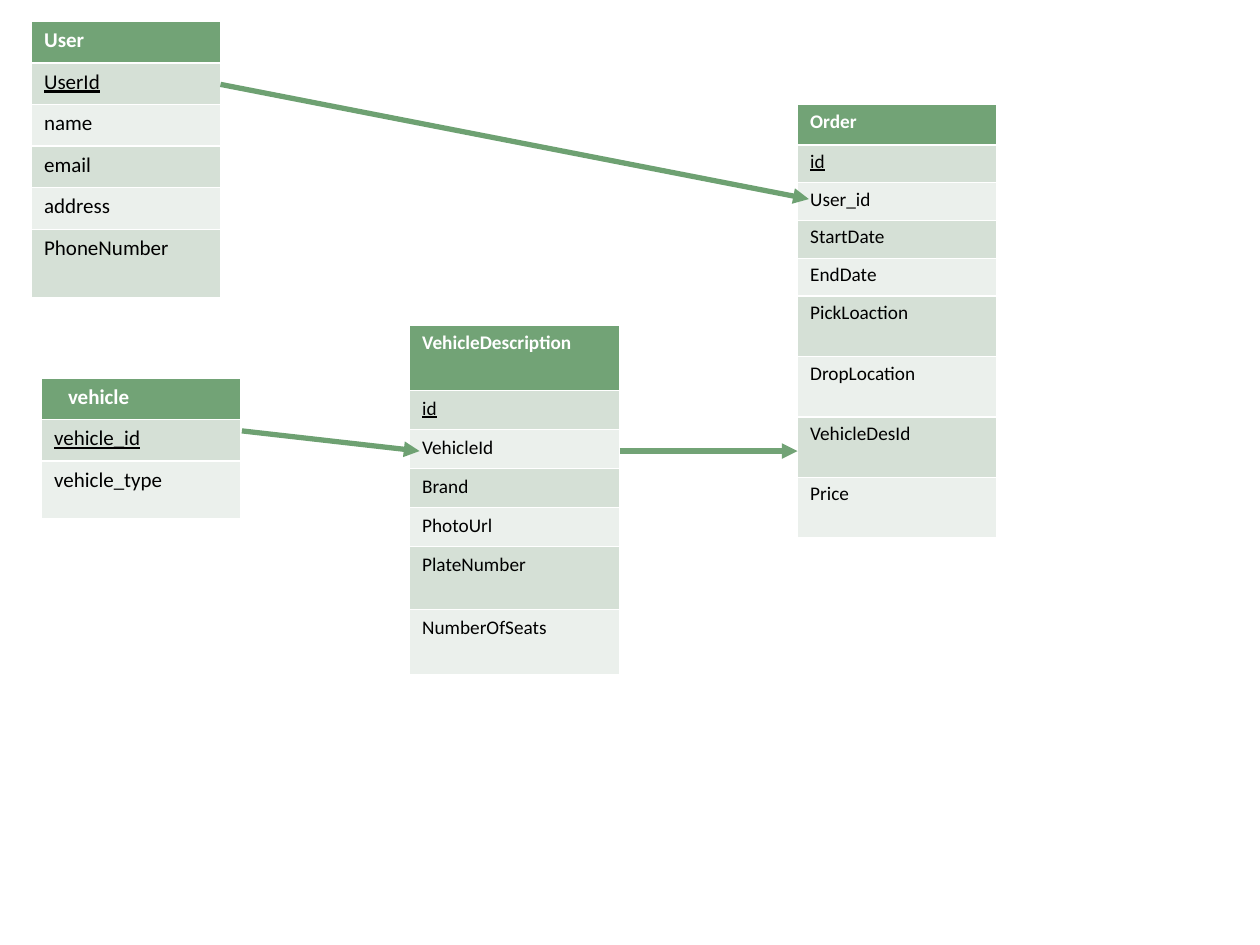
"""Build a slide of four linked database tables for a vehicle rental system."""
from lxml.etree import SubElement
from pptx import Presentation
from pptx.dml.color import RGBColor
from pptx.enum.shapes import MSO_CONNECTOR
from pptx.enum.text import PP_ALIGN
from pptx.oxml.ns import qn
from pptx.util import Inches, Pt

HEADER_GREEN = RGBColor(0x72, 0xA3, 0x76)
LINK_GREEN = RGBColor(0x6E, 0xA1, 0x72)
BAND_DARK = RGBColor(0xD5, 0xE0, 0xD6)
BAND_LIGHT = RGBColor(0xEB, 0xF0, 0xEC)
WHITE = RGBColor(0xFF, 0xFF, 0xFF)
BLACK = RGBColor(0x00, 0x00, 0x00)

ENTITIES = [
    {"at": (0.33, 3), "width": 1.58, "size": 12, "inset": 0.05, "title_inset": 0.21,
     "rows": [("vehicle", 0.33), ("vehicle_id", 0.33), ("vehicle_type", 0.46)]},
    {"at": (3.25, 2.58), "width": 1.67, "size": 11, "inset": 0.05, "title_inset": 0.1,
     "rows": [("VehicleDescription", 0.52), ("id", 0.31), ("VehicleId", 0.31),
              ("Brand", 0.31), ("PhotoUrl", 0.31), ("PlateNumber", 0.5),
              ("NumberOfSeats", 0.52)]},
    {"at": (0.25, 0.17), "width": 1.5, "size": 12, "inset": 0.05, "title_inset": 0.1,
     "rows": [("User", 0.33), ("UserId", 0.33), ("name", 0.33), ("email", 0.33),
              ("address", 0.33), ("PhoneNumber", 0.54)]},
    {"at": (6.33, 0.83), "width": 1.58, "size": 11, "inset": 0.04, "title_inset": 0.1,
     "rows": [("Order", 0.32), ("id", 0.3), ("User_id", 0.3), ("StartDate", 0.3),
              ("EndDate", 0.3), ("PickLoaction", 0.48), ("DropLocation", 0.48),
              ("VehicleDesId", 0.48), ("Price", 0.48)]},
]

RELATIONS = [
    ((1.92, 3.42), (3.33, 3.58), LINK_GREEN),
    ((1.75, 0.67), (6.42, 1.58), LINK_GREEN),
    ((4.92, 3.58), (6.33, 3.58), HEADER_GREEN),
]

prs = Presentation()
prs.slide_width, prs.slide_height = Inches(10), Inches(7.5)
slide = prs.slides.add_slide(prs.slide_layouts[6])

for entity in ENTITIES:
    rows = entity["rows"]
    left, top = entity["at"]
    height = sum(row_height for _, row_height in rows)
    fields = slide.shapes.add_table(
        len(rows), 1, Inches(left), Inches(top), Inches(entity["width"]), Inches(height)
    ).table
    for index, (label, row_height) in enumerate(rows):
        is_title = index == 0
        fields.rows[index].height = Inches(row_height)
        cell = fields.cell(index, 0)
        margins = {
            "margin_left": entity["title_inset"] if is_title else 0.1,
            "margin_right": 0.1,
            "margin_top": entity["inset"],
            "margin_bottom": entity["inset"],
        }
        for name, value in margins.items():
            setattr(cell, name, Inches(value))
        cell.fill.solid()
        band = BAND_DARK if index % 2 else BAND_LIGHT
        cell.fill.fore_color.rgb = HEADER_GREEN if is_title else band
        paragraph = cell.text_frame.paragraphs[0]
        paragraph.alignment = PP_ALIGN.JUSTIFY
        run = paragraph.add_run()
        run.text = label
        font_format = {
            "name": "Calibri",
            "size": Pt(entity["size"]),
            "bold": is_title,
            "underline": index == 1,
        }
        for name, value in font_format.items():
            setattr(run.font, name, value)
        run.font.color.rgb = WHITE if is_title else BLACK

for start, end, color in RELATIONS:
    relation = slide.shapes.add_connector(
        MSO_CONNECTOR.STRAIGHT, *(Inches(value) for value in start + end)
    )
    relation.line.color.rgb = color
    relation.line.width = Pt(3)
    SubElement(relation.line._get_or_add_ln(), qn("a:tailEnd"), type="triangle")
    SubElement(relation._element.spPr, qn("a:effectLst"))

prs.save("out.pptx")
